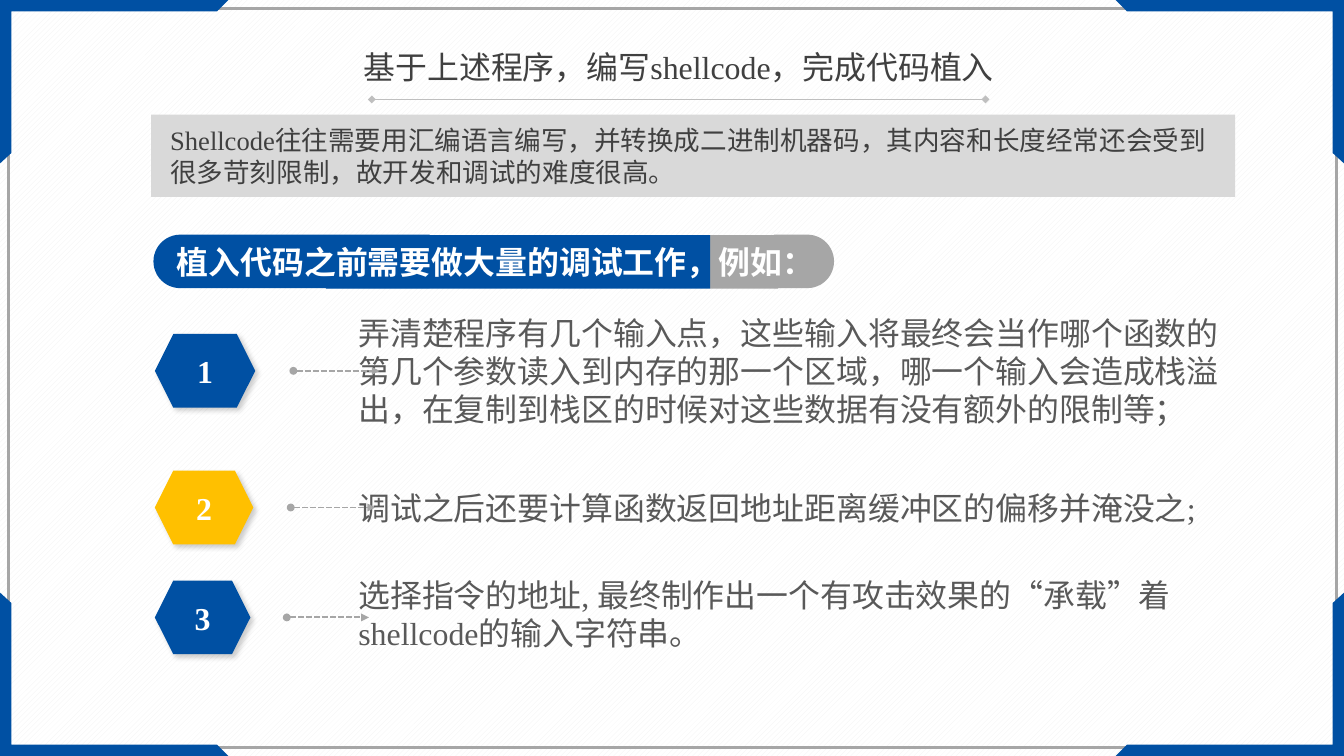
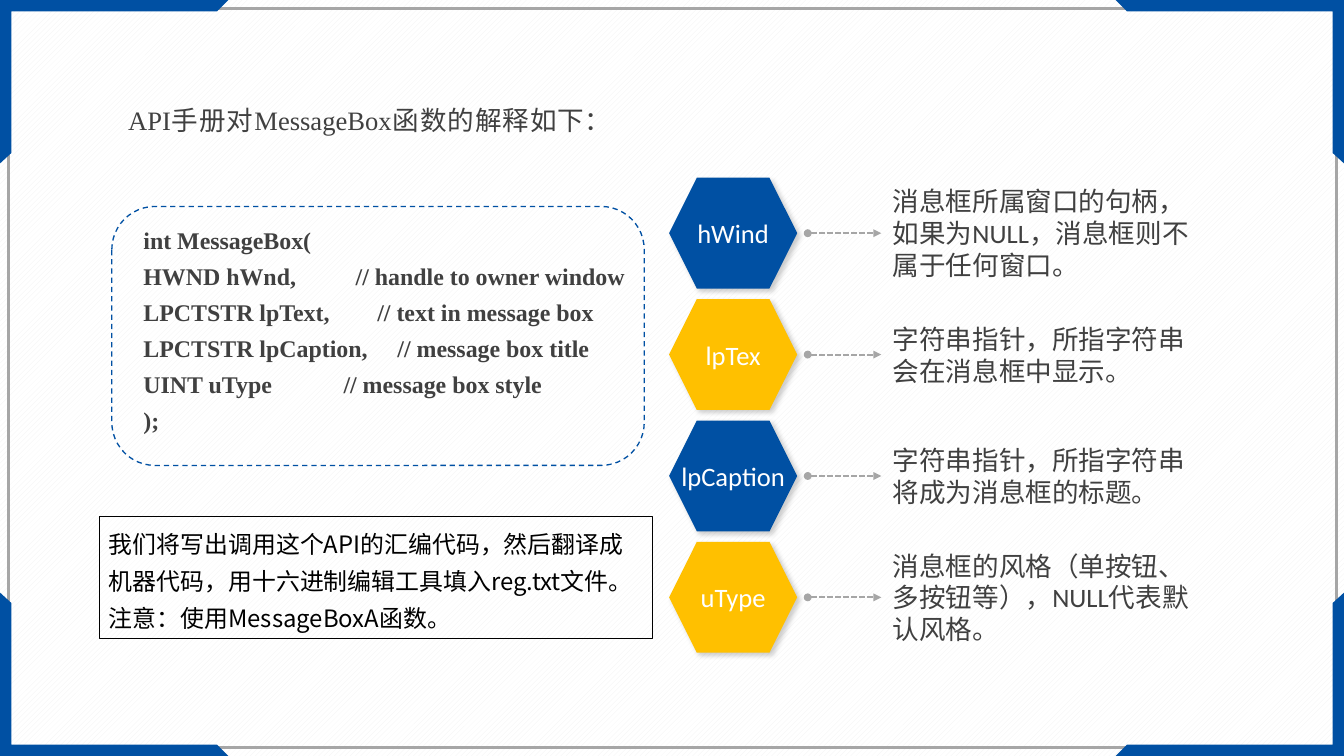
from dataclasses import dataclass
from typing import Optional

from lxml import etree
from pptx import Presentation
from pptx import util as u
from pptx.dml import color
from pptx.enum import dml, shapes, text
from pptx.oxml import ns

WIDTH, HEIGHT = 14.06, 7.91
BLUE, GOLD, WHITE, BLACK = "0050A3", "FFC000", "FFFFFF", "000000"
GREY, PALE_GREY, RULE_GREY = "A6A6A6", "D9D9D9", "BFBFBF"
DARK, BODY_GREY = "404040", "595959"
SERIF, SANS, CJK = "Times New Roman", "Calibri", "Noto Sans CJK SC"
AUTO = shapes.MSO_SHAPE
TOP, MIDDLE = text.MSO_ANCHOR.TOP, text.MSO_ANCHOR.MIDDLE
LEFT, CENTER, JUSTIFY = text.PP_ALIGN.LEFT, text.PP_ALIGN.CENTER, text.PP_ALIGN.JUSTIFY


@dataclass(frozen=True)
class Box:
    left: float
    top: float
    width: float
    height: float

    def emu(self) -> list:
        return [u.Inches(v) for v in (self.left, self.top, self.width, self.height)]


@dataclass(frozen=True)
class Style:
    size: float
    colour: str
    font: str = SERIF
    bold: bool = False
    align: text.PP_ALIGN = LEFT
    anchor: text.MSO_ANCHOR = TOP
    spacing: float = 1.0
    inset_x: float = 0.1
    inset_y: float = 0.05
    wrap: bool = True


@dataclass(frozen=True)
class Step:
    """A hexagon, a dashed arrow and an explanation."""
    label: str
    explanation: str
    colour: str
    hexagon: Box
    arrow_start: float
    arrow_end: float
    explained: Box


@dataclass(frozen=True)
class BarPart:
    colour: str
    box: Box
    rotation: Optional[int] = None


def rgb(value: str) -> color.RGBColor:
    return color.RGBColor.from_string(value)


def write(shape, paragraphs: list, style: Style) -> None:
    frame = shape.text_frame
    frame.auto_size = text.MSO_AUTO_SIZE.NONE
    frame.word_wrap = style.wrap
    frame.vertical_anchor = style.anchor
    frame.margin_left = frame.margin_right = u.Inches(style.inset_x)
    frame.margin_top = frame.margin_bottom = u.Inches(style.inset_y)
    for index, line in enumerate(paragraphs):
        paragraph = frame.add_paragraph() if index else frame.paragraphs[0]
        if shape.is_placeholder:
            props = paragraph._p.get_or_add_pPr()
            props.set("marL", "0")
            props.set("indent", "0")
            etree.SubElement(props, ns.qn("a:buNone"))
        paragraph.alignment = style.align
        paragraph.line_spacing = style.spacing
        paragraph.space_before = u.Pt(0)
        run = paragraph.add_run()
        run.text = line
        run.font.size = u.Pt(style.size)
        run.font.bold = style.bold
        run.font.color.rgb = rgb(style.colour)
        run.font.name = style.font
        east_asian = etree.SubElement(run.font._element, ns.qn("a:ea"))
        east_asian.set("typeface", CJK)


def paint(shape, fill: Optional[str] = None, line: Optional[str] = None,
          weight: float = 1) -> None:
    if fill:
        shape.fill.solid()
        shape.fill.fore_color.rgb = rgb(fill)
    else:
        shape.fill.background()
    if line:
        shape.line.color.rgb = rgb(line)
        shape.line.width = u.Pt(weight)
    else:
        shape.line.fill.background()


def add_box(slide, kind, box: Box, fill: Optional[str] = None,
            line: Optional[str] = None, weight: float = 1):
    shape = slide.shapes.add_shape(kind, *box.emu())
    shape.shadow.inherit = False
    paint(shape, fill, line, weight)
    return shape


def add_text(slide, box: Box, paragraphs: list, style: Style) -> None:
    write(slide.shapes.add_textbox(*box.emu()), paragraphs, style)


def fill_placeholder(placeholder, box: Box, paragraphs: list, style: Style) -> None:
    placeholder.left, placeholder.top, placeholder.width, placeholder.height = box.emu()
    write(placeholder, paragraphs, style)


def add_rule(slide, start: float, end: float, y: float, colour: str, weight: float,
             head: str, tail: str, dashed: bool = False) -> None:
    rule = slide.shapes.add_connector(
        shapes.MSO_CONNECTOR.STRAIGHT,
        u.Inches(start), u.Inches(y), u.Inches(end), u.Inches(y))
    rule.line.color.rgb = rgb(colour)
    rule.line.width = u.Pt(weight)
    if dashed:
        rule.line.dash_style = dml.MSO_LINE.SQUARE_DOT
    outline = rule.line._get_or_add_ln()
    for tag, end_kind in (("a:headEnd", head), ("a:tailEnd", tail)):
        etree.SubElement(outline, ns.qn(tag)).set("type", end_kind)
    etree.SubElement(rule._element.spPr, ns.qn("a:effectLst"))


def add_soft_shadow(shape) -> None:
    effects = shape._element.spPr.find(ns.qn("a:effectLst"))
    shadow = etree.SubElement(effects, ns.qn("a:outerShdw"), {
        "blurRad": str(u.Pt(4)), "dist": str(u.Pt(3)), "dir": str(45 * 60000),
        "algn": "tl", "rotWithShape": "0"})
    tint = etree.SubElement(shadow, ns.qn("a:srgbClr"), {"val": BLACK})
    etree.SubElement(tint, ns.qn("a:alpha"), {"val": "20000"})


def add_step(slide, step: Step, label_style: Style, text_style: Style) -> None:
    hexagon = add_box(slide, AUTO.HEXAGON, step.hexagon, step.colour)
    add_soft_shadow(hexagon)
    write(hexagon, [step.label], label_style)
    add_text(slide, step.explained, [step.explanation], text_style)
    middle = step.hexagon.top + step.hexagon.height / 2
    add_rule(slide, step.arrow_start, step.arrow_end, middle, GREY, 1.5,
             "oval", "triangle", dashed=True)


def build_master(prs, slide) -> None:
    """Put the pattern, the thin frame and the four corners on the master."""
    master = prs.slide_master
    backdrop = master.background.fill
    backdrop.patterned()
    backdrop.pattern = dml.MSO_PATTERN.WIDE_UPWARD_DIAGONAL
    backdrop.fore_color.rgb = rgb("F2F2F2")
    backdrop.back_color.rgb = rgb(WHITE)

    parts = [add_box(slide, AUTO.RECTANGLE, Box(0.09, 0.09, 13.89, 7.73),
                     line=GREY, weight=2)]
    outline = [(0, 0), (2.39, 0), (2.27, 0.12), (0.12, 0.12), (0.12, 1.6), (0, 1.71)]
    for right in (False, True):
        for bottom in (False, True):
            points = [(u.Inches(WIDTH - x if right else x),
                       u.Inches(HEIGHT - y if bottom else y)) for x, y in outline]
            builder = slide.shapes.build_freeform(*points[0])
            builder.add_line_segments(points[1:], close=True)
            corner = builder.convert_to_shape()
            corner.shadow.inherit = False
            paint(corner, BLUE)
            parts.append(corner)
    for index, part in enumerate(parts):
        part._element.nvSpPr.cNvPr.set("id", str(100 + index))
        master.shapes.element.insert(2 + index, part._element)


def build_shellcode(slide) -> None:
    # Title with its rule, and the grey introduction
    fill_placeholder(slide.shapes.title, Box(3.48, 0.45, 7.24, 0.5),
                     ["基于上述程序，编写shellcode，完成代码植入"],
                     Style(24, DARK, align=CENTER))
    add_rule(slide, 3.89, 10.31, 1.04, RULE_GREY, 0.5, "diamond", "diamond")
    introduction = slide.placeholders[1]
    paint(introduction, PALE_GREY)
    fill_placeholder(introduction, Box(1.58, 1.2, 11.34, 0.86),
                     ["Shellcode往往需要用汇编语言编写，并转换成二进制机器码，"
                      "其内容和长度经常还会受到很多苛刻限制，故开发和调试的难度很高。"],
                     Style(20, DARK, anchor=MIDDLE, inset_x=0.2))

    # Two-coloured bar with rounded ends
    for part in (BarPart(GREY, Box(7.43, 2.46, 0.71, 0.56)),
                 BarPart(BLUE, Box(3.41, 2.46, 4.02, 0.56)),
                 BarPart(BLUE, Box(2.77, 1.29, 0.56, 2.89), 270),
                 BarPart(GREY, Box(8.13, 2.42, 0.56, 0.63), 90)):
        rounded = part.rotation is not None
        kind = AUTO.ROUND_2_SAME_RECTANGLE if rounded else AUTO.RECTANGLE
        piece = add_box(slide, kind, part.box, part.colour)
        if rounded:
            piece.adjustments[0] = 0.5
            piece.rotation = part.rotation
    add_text(slide, Box(1.7, 2.46, 6.83, 0.56),
             ["植入代码之前需要做大量的调试工作，例如："],
             Style(24, WHITE, bold=True, inset_x=0.15, inset_y=0.08))

    # Numbered debugging tasks: centre, hexagon width, colour, text centre, text
    tasks = [
        (3.88, 1.05, BLUE, 3.88,
         "弄清楚程序有几个输入点，这些输入将最终会当作哪个函数的第几个参数读入到内存的"
         "那一个区域，哪一个输入会造成栈溢出，在复制到栈区的时候对这些数据有没有额外的限制等；"),
        (5.31, 1.03, GOLD, 5.31, "调试之后还要计算函数返回地址距离缓冲区的偏移并淹没之;"),
        (6.46, 1.0, BLUE, 6.42,
         "选择指令的地址, 最终制作出一个有攻击效果的“承载”着shellcode的输入字符串。"),
    ]
    number_style = Style(24, WHITE, bold=True, align=CENTER, anchor=MIDDLE)
    task_style = Style(24, BODY_GREY, anchor=MIDDLE)
    left, height, text_height = 1.62, 0.77, 1.3
    for number, (centre, width, colour, text_centre, task) in enumerate(tasks, 1):
        arrow_start = left + 1.38 * width
        add_step(slide, Step(
            str(number), task, colour, Box(left, centre - height / 2, width, height),
            arrow_start, arrow_start + 0.86 * width,
            Box(3.65, text_centre - text_height / 2, 9.32, text_height)),
            number_style, task_style)


def build_message_box(slide) -> None:
    # Title
    fill_placeholder(slide.shapes.title, Box(1.25, 1.04, 4.96, 0.43),
                     ["API手册对MessageBox函数的解释如下："],
                     Style(20, DARK, align=JUSTIFY, inset_x=0.09))

    # Parameters of the function
    parameters = [
        ("hWind", "消息框所属窗口的句柄，如果为NULL，消息框则不属于任何窗口。"),
        ("lpTex", "字符串指针，所指字符串会在消息框中显示。"),
        ("lpCaption", "字符串指针，所指字符串将成为消息框的标题。"),
        ("uType", "消息框的风格（单按钮、多按钮等），NULL代表默认风格。"),
    ]
    name_style = Style(20, WHITE, SANS, align=CENTER, anchor=MIDDLE, wrap=False)
    meaning_style = Style(20, DARK, SANS, anchor=MIDDLE)
    first_top, pitch, height = 1.86, 1.27, 1.16
    for index, (name, meaning) in enumerate(parameters):
        top = first_top + index * pitch
        add_step(slide, Step(
            name, meaning, GOLD if index % 2 else BLUE, Box(7, top, 1.34, height),
            8.45, 9.22, Box(9.24, top, 3.43, height)), name_style, meaning_style)

    # Function signature in a dashed frame
    fill_placeholder(slide.placeholders[1], Box(1.4, 2.24, 5.35, 2.34), [
        "int MessageBox(",
        "HWND hWnd,          // handle to owner window",
        "LPCTSTR lpText,        // text in message box",
        "LPCTSTR lpCaption,     // message box title",
        "UINT uType            // message box style",
        ");",
    ], Style(18, DARK, bold=True, align=JUSTIFY, spacing=1.25))
    signature_frame = add_box(slide, AUTO.ROUNDED_RECTANGLE,
                              Box(1.17, 2.16, 5.57, 2.71), line=BLUE)
    signature_frame.line.dash_style = dml.MSO_LINE.DASH

    # Note on the next step
    note = add_box(slide, AUTO.RECTANGLE, Box(1.04, 5.4, 5.79, 1.28),
                   line=BLACK, weight=0.75)
    write(note, ["我们将写出调用这个API的汇编代码，然后翻译成机器代码，"
                 "用十六进制编辑工具填入reg.txt文件。",
                 "注意：使用MessageBoxA函数。"],
          Style(18, BLACK, CJK, spacing=1.3))


def main() -> None:
    prs = Presentation()
    prs.slide_width, prs.slide_height = u.Inches(WIDTH), u.Inches(HEIGHT)
    title_and_body = prs.slide_layouts[1]
    for index, build in enumerate((build_shellcode, build_message_box)):
        slide = prs.slides.add_slide(title_and_body)
        if index == 0:
            build_master(prs, slide)
        build(slide)
    prs.save("out.pptx")


if __name__ == "__main__":
    main()
